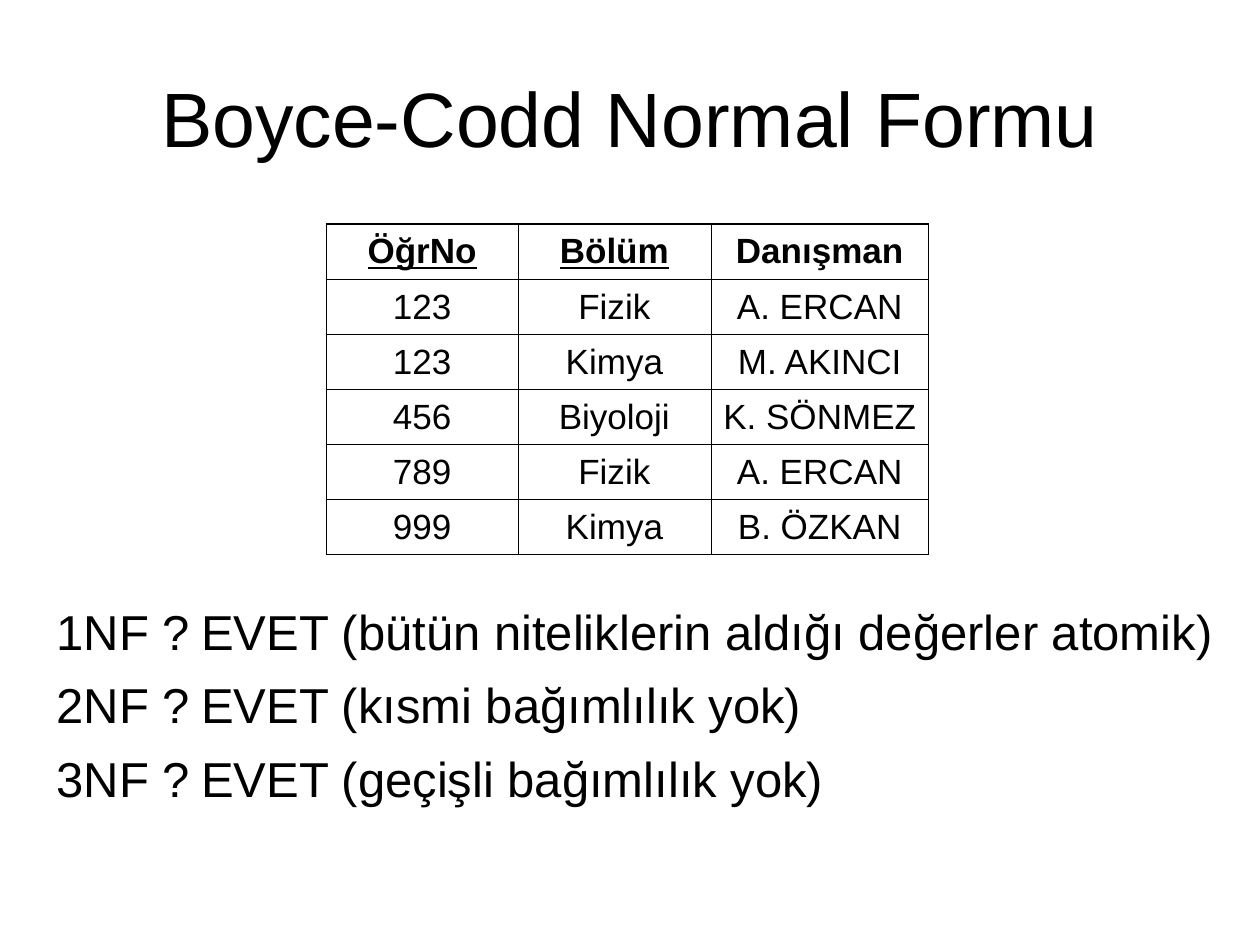
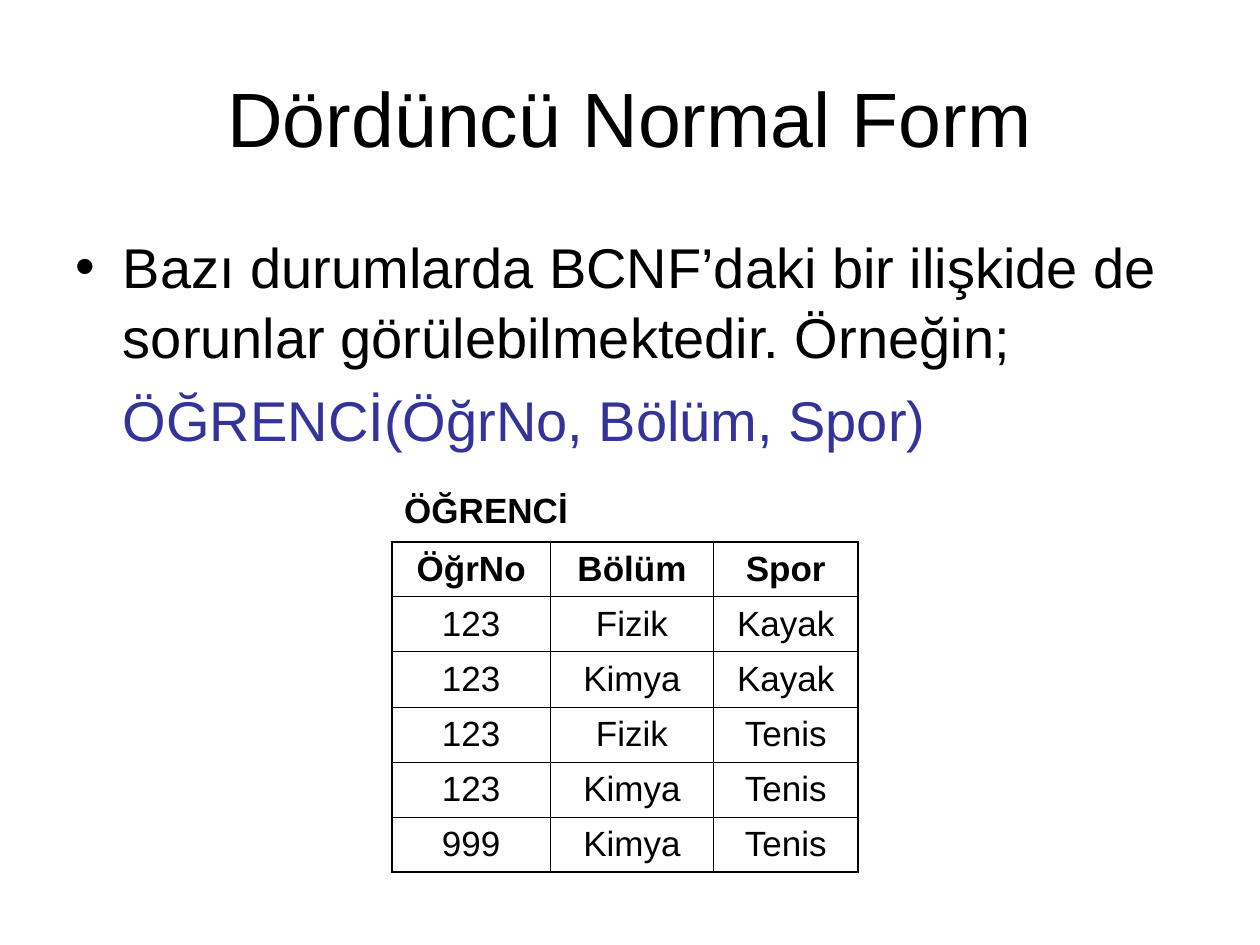
from dataclasses import dataclass

from lxml import etree
from pptx import Presentation
from pptx.dml.color import RGBColor
from pptx.enum.text import MSO_ANCHOR, MSO_AUTO_SIZE, PP_ALIGN
from pptx.oxml.ns import qn
from pptx.util import Cm, Pt

CENTER, LEFT = PP_ALIGN.CENTER, PP_ALIGN.LEFT
MIDDLE, TOP = MSO_ANCHOR.MIDDLE, MSO_ANCHOR.TOP
NO_FIT = MSO_AUTO_SIZE.NONE
TITLE_AND_CONTENT, TITLE_ONLY = 1, 5


@dataclass(frozen=True)
class Theme:
    font: str = "Arial"
    ink: str = "000000"
    accent: str = "333399"
    title: int = 44
    body: int = 32
    answer: int = 28
    table: int = 20
    outer_line: float = 1.08
    inner_line: float = 0.45
    line_spacing: float = 1.04


def set_values(target, values):
    for name, value in values.items():
        setattr(target, name, value)


class Deck:
    def __init__(self, theme):
        self.theme = theme
        self.presentation = Presentation()
        set_values(self.presentation, {"slide_width": Cm(25.4), "slide_height": Cm(19.05)})
        self.slide = None

    def add_slide(self, layout, title):
        layouts = self.presentation.slide_layouts
        self.slide = self.presentation.slides.add_slide(layouts[layout])
        shape = self.slide.shapes.title
        self.place(shape, 1.27, 0.76, 22.86, 3.18)
        self.fill_text(shape.text_frame, [title], self.theme.title, align=CENTER, anchor=MIDDLE)

    def place(self, shape, left, top, width, height):
        set_values(shape, {"left": Cm(left), "top": Cm(top),
                           "width": Cm(width), "height": Cm(height)})

    def style(self, paragraph, size, color=None, **extra):
        set_values(paragraph.font, {"name": self.theme.font, "size": Pt(size), **extra})
        paragraph.font.color.rgb = RGBColor.from_string(color or self.theme.ink)

    def fill_text(self, frame, lines, size, align=LEFT, anchor=TOP, gap=0, spacing=1.0, **extra):
        set_values(frame, {"word_wrap": True, "auto_size": NO_FIT, "vertical_anchor": anchor})
        for index, line in enumerate(lines):
            paragraph = frame.add_paragraph() if index else frame.paragraphs[0]
            set_values(paragraph, {"text": line, "alignment": align, "line_spacing": spacing,
                                   "space_before": Pt(gap if index else 0)})
            self.style(paragraph, size, **extra)

    def add_text(self, lines, box, size, **options):
        shape = self.slide.shapes.add_textbox(*map(Cm, box))
        self.fill_text(shape.text_frame, lines, size, **options)

    def add_body(self, bullet, relation):
        shape = self.slide.placeholders[1]
        self.place(shape, 1.27, 4.5, 22.86, 4.88)
        self.fill_text(shape.text_frame, [bullet, relation], self.theme.body, gap=8,
                       spacing=self.theme.line_spacing)
        paragraph = shape.text_frame.paragraphs[1]
        properties = paragraph._p.get_or_add_pPr()
        properties.set("marL", str(Cm(0.95)))
        properties.set("indent", "0")
        bullet_none = etree.Element(qn("a:buNone"))
        properties.find(qn("a:spcBef")).addnext(bullet_none)
        self.style(paragraph, self.theme.body, self.theme.accent)

    def add_border(self, cell, side, width):
        line = etree.SubElement(cell._tc.get_or_add_tcPr(), qn(f"a:ln{side}"), w=str(Pt(width)))
        fill = etree.SubElement(line, qn("a:solidFill"))
        etree.SubElement(fill, qn("a:srgbClr"), val=self.theme.ink)

    def add_table(self, rows, left, top, widths, keys=()):
        row_height = 1.11
        shape = self.slide.shapes.add_table(len(rows), len(widths), Cm(left), Cm(top),
                                            Cm(sum(widths)), Cm(row_height * len(rows)))
        table = shape.table
        set_values(table, {"first_row": False, "horz_banding": False})
        for column, width in zip(table.columns, widths):
            column.width = Cm(width)
        for row_index, row in enumerate(rows):
            table.rows[row_index].height = Cm(row_height)
            for column_index, text in enumerate(row):
                cell = table.cell(row_index, column_index)
                header = row_index == 0
                set_values(cell, {"text": text, "vertical_anchor": MIDDLE,
                                  "margin_left": Cm(0.23), "margin_right": Cm(0.23)})
                paragraph = cell.text_frame.paragraphs[0]
                paragraph.alignment = CENTER
                self.style(paragraph, self.theme.table, bold=header,
                           underline=header and text in keys)
                edges = {"L": column_index == 0, "R": column_index == len(widths) - 1,
                         "T": header, "B": row_index == len(rows) - 1}
                for side, outer in edges.items():
                    width = self.theme.outer_line if outer else self.theme.inner_line
                    self.add_border(cell, side, width)
                cell.fill.background()


def build_boyce_codd(deck):
    deck.add_slide(TITLE_ONLY, "Boyce-Codd Normal Formu")
    advisors = [
        ("ÖğrNo", "Bölüm", "Danışman"),
        ("123", "Fizik", "A. ERCAN"),
        ("123", "Kimya", "M. AKINCI"),
        ("456", "Biyoloji", "K. SÖNMEZ"),
        ("789", "Fizik", "A. ERCAN"),
        ("999", "Kimya", "B. ÖZKAN"),
    ]
    deck.add_table(advisors, 6.58, 4.52, (3.86, 3.89, 4.39), keys=("ÖğrNo", "Bölüm"))
    questions = [f"{level}NF ?" for level in range(1, 4)]
    answers = [
        "EVET (bütün niteliklerin aldığı değerler atomik)",
        "EVET (kısmi bağımlılık yok)",
        "EVET (geçişli bağımlılık yok)",
    ]
    for lines, left, width in ((questions, 0.89, 3.61), (answers, 3.81, 21.31)):
        deck.add_text(lines, (left, 11.95, width, 5.59), deck.theme.answer, gap=7,
                      spacing=deck.theme.line_spacing)


def build_fourth_form(deck):
    deck.add_slide(TITLE_AND_CONTENT, "Dördüncü Normal Form")
    deck.add_body(
        "Bazı durumlarda BCNF’daki bir ilişkide de sorunlar görülebilmektedir. Örneğin;",
        "ÖĞRENCİ(ÖğrNo, Bölüm, Spor)",
    )
    deck.add_text(["ÖĞRENCİ"], (7.9, 9.73, 6.2, 1.12), deck.theme.table, bold=True)
    sports = [
        ("ÖğrNo", "Bölüm", "Spor"),
        ("123", "Fizik", "Kayak"),
        ("123", "Kimya", "Kayak"),
        ("123", "Fizik", "Tenis"),
        ("123", "Kimya", "Tenis"),
        ("999", "Kimya", "Tenis"),
    ]
    deck.add_table(sports, 7.9, 10.92, (3.2, 3.28, 2.92))


def main():
    deck = Deck(Theme())
    build_boyce_codd(deck)
    build_fourth_form(deck)
    deck.presentation.save("out.pptx")


if __name__ == "__main__":
    main()
